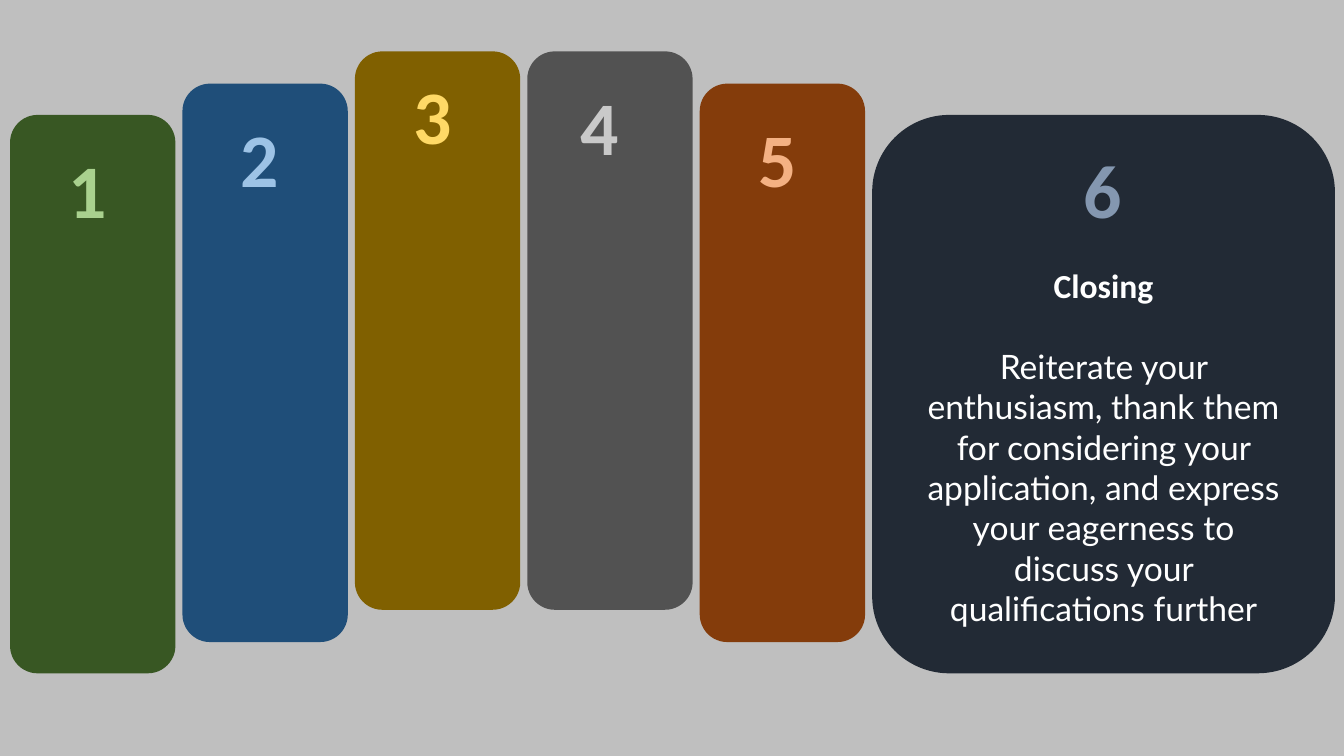
from dataclasses import dataclass

from pptx import Presentation
from pptx.dml.color import RGBColor
from pptx.enum import shapes, text
from pptx.util import Inches, Pt


@dataclass(frozen=True)
class Theme:
    back: str = "BFBFBF"
    light: str = "FFFFFF"
    head: str = "Calibri"
    body: str = "Lato"
    large: int = 54
    normal: int = 24


THEME = Theme()
LEFT, PITCH = 0.1, 1.71
SLIM, WIDE, HEIGHT = 1.64, 4.59, 5.54

# panel top, panel colour, number left, number top, number colour
STEPS = [
    (1.14, "385723", 0.58, 1.37, "A9D18E"),
    (0.83, "1F4E79", 2.29, 1.06, "9DC3E6"),
    (0.51, "806000", 4.0, 0.63, "FFD966"),
    (0.51, "525252", 5.66, 0.74, "C9C9C9"),
    (0.83, "843C0B", 7.42, 1.06, "F4B183"),
    (1.14, "222A35", 10.65, 1.37, "8497B0"),
]
CLOSING = (
    "Reiterate your enthusiasm, thank them for considering your application, "
    "and express your eagerness to discuss your qualifications further"
)


def add_panel(slide, left, top, width, color):
    panel = slide.shapes.add_shape(
        shapes.MSO_SHAPE.ROUNDED_RECTANGLE,
        Inches(left), Inches(top), Inches(width), Inches(HEIGHT),
    )
    panel.shadow.inherit = False
    panel.fill.solid()
    panel.fill.fore_color.rgb = RGBColor.from_string(color)
    panel.line.fill.background()


def add_label(slide, left, top, width, height, lines, color):
    """Add centred text; each line is (words, font name, size, bold, space before)."""
    box = slide.shapes.add_textbox(
        Inches(left), Inches(top), Inches(width), Inches(height)
    )
    frame = box.text_frame
    frame.word_wrap = True
    frame.auto_size = text.MSO_AUTO_SIZE.SHAPE_TO_FIT_TEXT
    for i, (words, name, size, bold, space) in enumerate(lines):
        para = frame.add_paragraph() if i else frame.paragraphs[0]
        para.text = words
        para.alignment = text.PP_ALIGN.CENTER
        para.space_before = Pt(space)
        para.font.name = name
        para.font.size = Pt(size)
        para.font.bold = bold
        para.font.color.rgb = RGBColor.from_string(color)


def main():
    deck = Presentation()
    deck.slide_width, deck.slide_height = Inches(13.33), Inches(7.5)
    slide = deck.slides.add_slide(deck.slide_layouts[6])
    slide.background.fill.solid()
    slide.background.fill.fore_color.rgb = RGBColor.from_string(THEME.back)

    for i, (top, fill, num_left, num_top, color) in enumerate(STEPS):
        width = WIDE if i == len(STEPS) - 1 else SLIM
        add_panel(slide, LEFT + i * PITCH, top, width, fill)
        number = (str(i + 1), THEME.head, THEME.large, True, 0)
        add_label(slide, num_left, num_top, 0.58, 1.01, [number], color)

    lines = [
        ("Closing", THEME.head, THEME.normal, True, 0),
        (CLOSING, THEME.body, THEME.normal, False, 29),
    ]
    add_label(slide, 8.99, 2.58, 3.91, 3.74, lines, THEME.light)
    deck.save("out.pptx")


if __name__ == "__main__":
    main()
